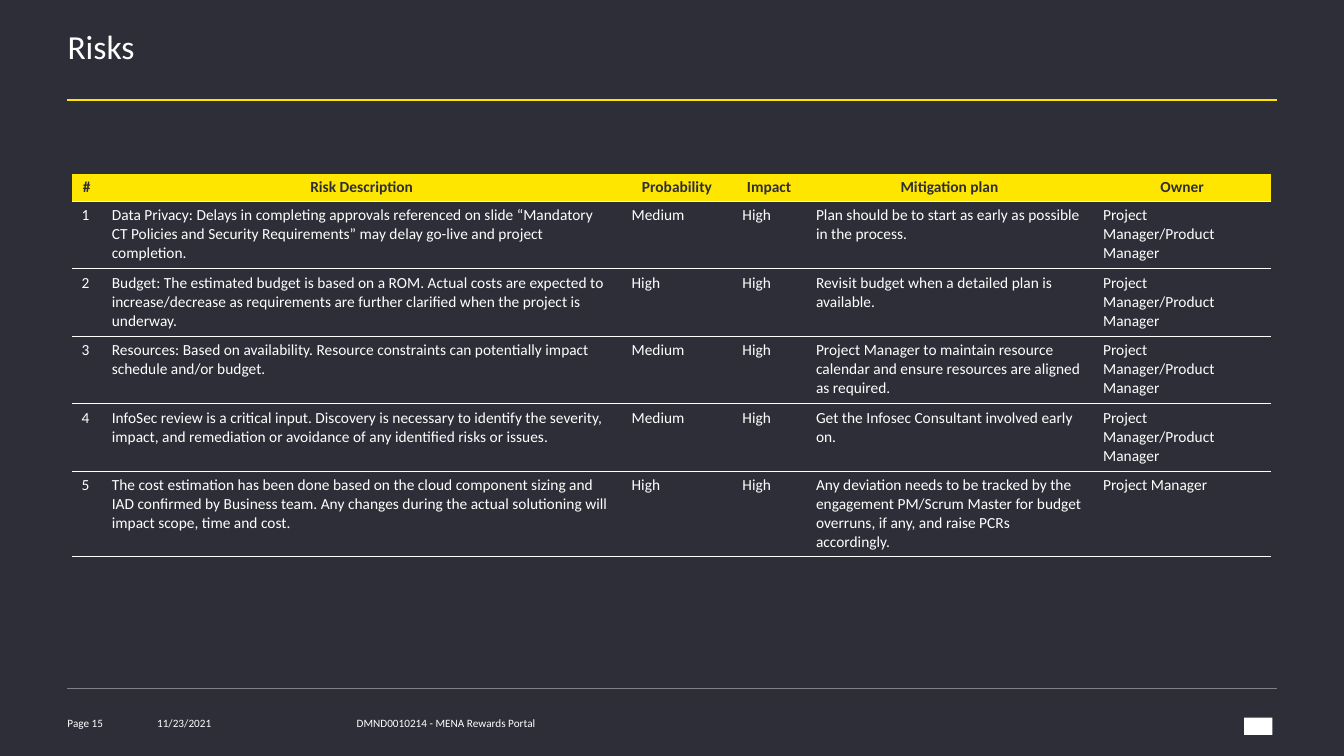
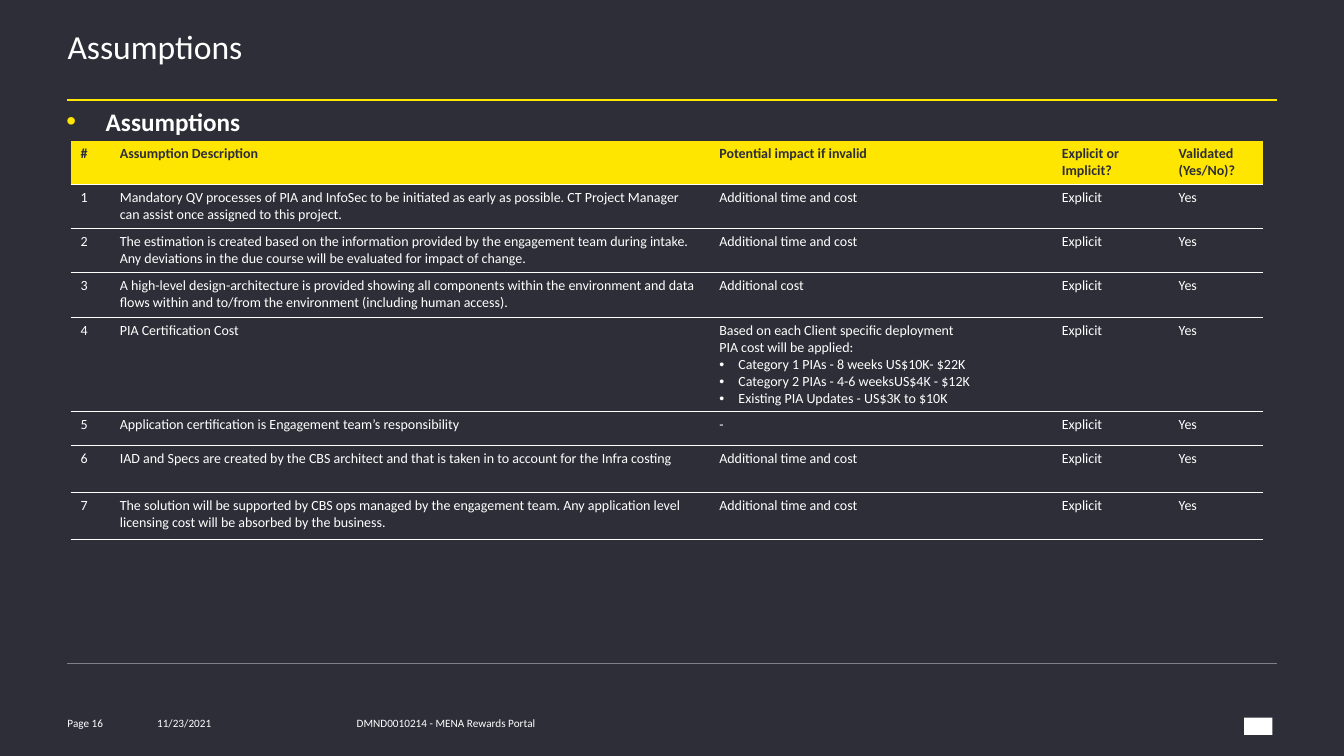
from dataclasses import dataclass

import pptx
import pptx.dml.color
import pptx.enum.shapes
import pptx.enum.text
import pptx.oxml
import pptx.oxml.ns
import pptx.slide
import pptx.table
import pptx.text.text
import pptx.util

Inches = pptx.util.Inches
RGBColor = pptx.dml.color.RGBColor
Align = pptx.enum.text.PP_ALIGN
Anchor = pptx.enum.text.MSO_ANCHOR

CHARCOAL = RGBColor(0x2E, 0x2E, 0x38)
YELLOW = RGBColor(0xFF, 0xE6, 0x00)
WHITE = RGBColor(0xFF, 0xFF, 0xFF)
GREY = RGBColor(0x80, 0x80, 0x86)
FONT = "Calibri"
LEFT, RIGHT = 0.67, 12.68


@dataclass(frozen=True)
class BulletedText:
    lead: tuple[str, ...]
    bullets: tuple[str, ...]


@dataclass(frozen=True)
class Register:
    left: float
    top: float
    widths: tuple[float, ...]
    heights: tuple[float, ...]
    size: float
    header_align: Align
    header: tuple[str, ...]
    rows: tuple[tuple[str | BulletedText, ...], ...]


@dataclass(frozen=True)
class Page:
    title: str
    number: int
    footer_rule: float
    register: Register
    heading: str = ""


@dataclass(frozen=True)
class FooterItem:
    text: str
    left: float
    width: float


FOOTER = (
    FooterItem("Page {number}", 0.67, 0.73),
    FooterItem("11/23/2021", 1.56, 1.3),
    FooterItem("DMND0010214 - MENA Rewards Portal", 3.54, 4.26),
)

MANAGERS = "Project Manager/Product Manager"
RISKS = Register(
    0.71, 1.71, (0.3, 5.16, 1.1, 0.73, 2.85, 1.77),
    (0.28, 0.67, 0.67, 0.67, 0.67, 0.85), 11, Align.CENTER,
    ("#", "Risk Description", "Probability", "Impact", "Mitigation plan", "Owner"),
    (
        ("1", "Data Privacy: Delays in completing approvals referenced on slide “Mandatory CT "
         "Policies and Security Requirements” may delay go-live and project completion.",
         "Medium", "High",
         "Plan should be to start as early as possible in the process.", MANAGERS),
        ("2", "Budget: The estimated budget is based on a ROM. Actual costs are expected to "
         "increase/decrease as requirements are further clarified when the project is underway.",
         "High", "High", "Revisit budget when a detailed plan is available.", MANAGERS),
        ("3", "Resources: Based on availability. Resource constraints can potentially impact "
         "schedule and/or budget.", "Medium", "High",
         "Project Manager to maintain resource calendar and ensure resources are aligned "
         "as required.", MANAGERS),
        ("4", "InfoSec review is a critical input. Discovery is necessary to identify the "
         "severity, impact, and remediation or avoidance of any identified risks or issues.",
         "Medium", "High", "Get the Infosec Consultant involved early on.", MANAGERS),
        ("5", "The cost estimation has been done based on the cloud component sizing and IAD "
         "confirmed by Business team. Any changes during the actual solutioning will impact "
         "scope, time and cost.", "High", "High",
         "Any deviation needs to be tracked by the engagement PM/Scrum Master for budget "
         "overruns, if any, and raise PCRs accordingly.", "Project Manager"),
    ),
)

TIME_AND_COST = "Additional time and cost"
ASSUMPTIONS = (
    ("Mandatory QV processes of PIA and InfoSec to be initiated as early as possible. "
     "CT Project Manager can assist once assigned to this project.", TIME_AND_COST),
    ("The estimation is created based on the information provided by the engagement team "
     "during intake. Any deviations in the due course will be evaluated for impact of change.",
     TIME_AND_COST),
    ("A high-level design-architecture is provided showing all components within the "
     "environment and data flows within and to/from the environment (including human access).",
     "Additional cost"),
    ("PIA Certification Cost", BulletedText(
        ("Based on each Client specific deployment", "PIA cost will be applied:"),
        ("Category 1 PIAs - 8 weeks US$10K- $22K",
         "Category 2 PIAs - 4-6 weeksUS$4K - $12K",
         "Existing PIA Updates - US$3K to $10K"))),
    ("Application certification is Engagement team’s responsibility", "-"),
    ("IAD and Specs are created by the CBS architect and that is taken in to account for "
     "the Infra costing", TIME_AND_COST),
    ("The solution will be supported by CBS ops managed by the engagement team. Any "
     "application level licensing cost will be absorbed by the business.", TIME_AND_COST),
)
ASSUMPTION_REGISTER = Register(
    0.7, 1.39, (0.39, 5.95, 3.4, 1.16, 0.94),
    (0.43, 0.44, 0.44, 0.44, 0.94, 0.33, 0.47, 0.47), 10, Align.LEFT,
    ("#", "Assumption Description", "Potential impact if invalid",
     "Explicit or Implicit?", "Validated (Yes/No)?"),
    tuple((str(number), description, impact, "Explicit", "Yes")
          for number, (description, impact) in enumerate(ASSUMPTIONS, 1)),
)

PAGES = (
    Page("Risks", 15, 6.83, RISKS),
    Page("Assumptions", 16, 6.58, ASSUMPTION_REGISTER, "Assumptions"),
)


def style(paragraph: pptx.text.text._Paragraph, size: float,
          color: RGBColor = WHITE, bold: bool = False) -> None:
    font = paragraph.font
    font.name, font.size, font.bold = FONT, pptx.util.Pt(size), bold
    font.color.rgb = color


def add_xml(parent, tag: str, **attributes: str):
    element = pptx.oxml.parse_xml(f"<a:{tag} {pptx.oxml.ns.nsdecls('a')}/>")
    for name, setting in attributes.items():
        element.set(name, setting)
    parent.append(element)
    return element


def add_bullet(paragraph: pptx.text.text._Paragraph, indent: float,
               color: RGBColor = WHITE, percent: int = 100) -> None:
    properties = paragraph._p.get_or_add_pPr()
    properties.set("marL", str(Inches(indent)))
    properties.set("indent", str(-Inches(indent)))
    add_xml(add_xml(properties, "buClr"), "srgbClr", val=str(color))
    add_xml(properties, "buSzPct", val=str(percent * 1000))
    add_xml(properties, "buFont", typeface="Arial")
    add_xml(properties, "buChar", char="•")


def add_rule(slide: pptx.slide.Slide, y: float, color: RGBColor, weight: float) -> None:
    rule = slide.shapes.add_connector(
        pptx.enum.shapes.MSO_CONNECTOR.STRAIGHT,
        Inches(LEFT), Inches(y), Inches(RIGHT), Inches(y))
    rule.line.color.rgb = color
    rule.line.width = pptx.util.Pt(weight)
    add_xml(rule._element.spPr, "effectLst")


def add_emblem(slide: pptx.slide.Slide) -> None:
    emblem = slide.shapes.add_shape(
        pptx.enum.shapes.MSO_SHAPE.RECTANGLE,
        Inches(12.35), Inches(7.12), Inches(0.28), Inches(0.17))
    emblem.shadow.inherit = False
    emblem.fill.solid()
    emblem.fill.fore_color.rgb = WHITE
    emblem.line.fill.background()


def add_text(slide: pptx.slide.Slide, text: str, left: float, top: float, width: float,
             height: float, size: float, anchor: Anchor = Anchor.TOP,
             ) -> pptx.text.text._Paragraph:
    frame = slide.shapes.add_textbox(
        Inches(left), Inches(top), Inches(width), Inches(height)).text_frame
    frame.word_wrap = True
    frame.vertical_anchor = anchor
    frame.margin_left = frame.margin_right = frame.margin_top = frame.margin_bottom = 0
    paragraph = frame.paragraphs[0]
    paragraph.text = text
    style(paragraph, size)
    return paragraph


def add_heading(slide: pptx.slide.Slide, text: str) -> None:
    heading = add_text(slide, text, 0.66, 1.05, 11.8, 0.35, 18)
    heading.font.bold = True
    properties = heading._p.get_or_add_pPr()
    defaults = properties.find(pptx.oxml.ns.qn("a:defRPr"))
    add_bullet(heading, 0.39, YELLOW, 110)
    properties.append(defaults)


def set_borders(cell: pptx.table._Cell, row: int) -> None:
    properties = cell._tc.get_or_add_tcPr()
    for side in ("lnL", "lnR"):
        add_xml(add_xml(properties, side, w="0"), "noFill")
    top = (CHARCOAL, 2) if row == 0 else (WHITE, 0.25 if row == 1 else 0.5)
    bottom = (WHITE, 0.25 if row == 0 else 0.5)
    for side, (color, weight) in (("lnT", top), ("lnB", bottom)):
        border = add_xml(properties, side, w=str(pptx.util.Pt(weight)))
        add_xml(add_xml(border, "solidFill"), "srgbClr", val=str(color))


def fill_cell(cell: pptx.table._Cell, content: str | BulletedText, row: int,
              register: Register) -> None:
    is_header = row == 0
    set_borders(cell, row)
    if is_header:
        cell.fill.solid()
        cell.fill.fore_color.rgb = YELLOW
    else:
        cell.fill.background()
    if isinstance(content, str):
        content = BulletedText((content,), ())
    lines = content.lead + content.bullets
    frame = cell.text_frame
    for position, line in enumerate(lines):
        paragraph = frame.add_paragraph() if position else frame.paragraphs[0]
        paragraph.text = line
        if position >= len(content.lead):
            add_bullet(paragraph, 0.19)
        paragraph.alignment = register.header_align if is_header else Align.LEFT
        style(paragraph, register.size, CHARCOAL if is_header else WHITE, is_header)


def add_register(slide: pptx.slide.Slide, register: Register) -> None:
    lines = (register.header,) + register.rows
    table = slide.shapes.add_table(
        len(lines), len(register.widths), Inches(register.left), Inches(register.top),
        Inches(sum(register.widths)), Inches(sum(register.heights))).table
    table.horz_banding = False
    for column, width in zip(table.columns, register.widths):
        column.width = Inches(width)
    for row, (height, line) in enumerate(zip(register.heights, lines)):
        table.rows[row].height = Inches(height)
        for column, content in enumerate(line):
            fill_cell(table.cell(row, column), content, row, register)


def add_page(presentation, page: Page) -> None:
    slide = presentation.slides.add_slide(presentation.slide_layouts[6])
    add_emblem(slide)
    add_rule(slide, 0.99, YELLOW, 1.5)
    title = add_text(slide, page.title, LEFT, 0.32, RIGHT - LEFT, 0.65, 24)
    title.line_spacing = 0.85
    add_rule(slide, page.footer_rule, GREY, 0.25)
    if page.heading:
        add_heading(slide, page.heading)
    add_register(slide, page.register)
    for item in FOOTER:
        add_text(slide, item.text.format(number=page.number), item.left, 7.07,
                 item.width, 0.2, 8, Anchor.MIDDLE)


def main() -> None:
    presentation = pptx.Presentation()
    presentation.slide_width = Inches(13.34)
    presentation.slide_height = Inches(7.5)
    backdrop = presentation.slide_master.background.fill
    backdrop.solid()
    backdrop.fore_color.rgb = CHARCOAL
    for page in PAGES:
        add_page(presentation, page)
    presentation.save("out.pptx")


if __name__ == "__main__":
    main()
